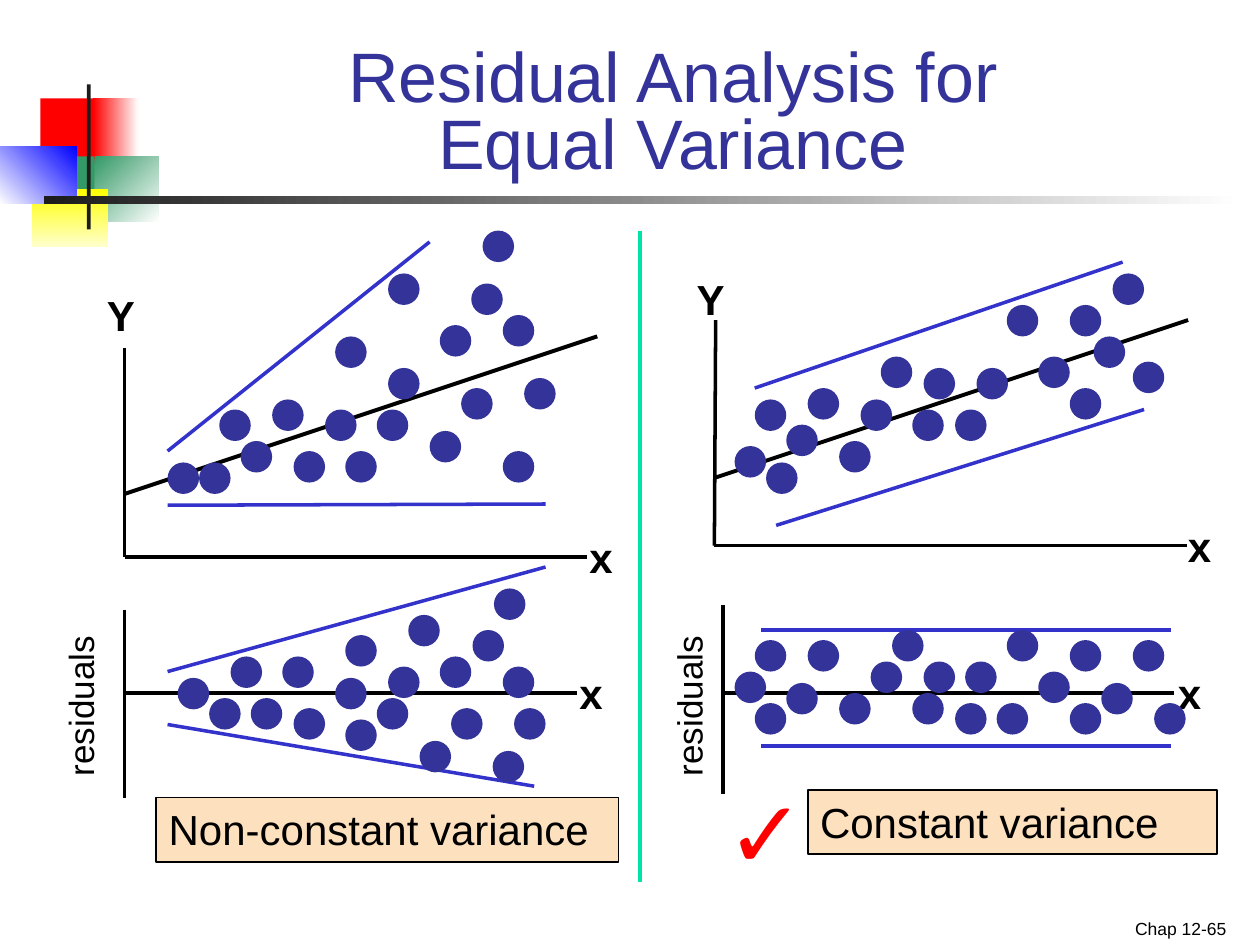
from lxml import etree
from pptx import Presentation
from pptx import util as u
from pptx.dml.color import RGBColor
from pptx.enum import shapes, text
from pptx.oxml.ns import qn

PX = u.Inches(1) // 100
DOT = 25
FONT = "Arial"
COLORS = {
    "black": "000000", "white": "FFFFFF", "navy": "333399", "bound": "3333CC",
    "divider": "00E4A8", "peach": "FDE0BD", "red": "FF0000", "green": "339966",
    "yellow": "FFFF00", "cream": "FFFFCC", "blue": "0000FF", "ink": "1C1C1C",
}

NON_CONSTANT_Y = {
    "axes": [(-1, 96, -1, 262), (-1, 262, 366, 262)],
    "trend": [(-1, 212, 374, 87)],
    "bounds": [(33, 178, 241, 12), (33, 221, 333, 220)],
    "x": (358, 237), "Y": (-25, 45),
    "dots": [(33, 187), (74, 145), (208, 37), (241, 162), (274, 45), (116, 137), (266, 128),
             (299, 178), (283, 3), (299, 70), (249, 78), (174, 178), (208, 112), (166, 87),
             (58, 187), (91, 170), (133, 178), (199, 145), (316, 120), (158, 145)],
}
CONSTANT_Y = {
    "axes": [(8, 54, 7, 233), (7, 233, 382, 233)],
    "trend": [(8, 179, 383, 54)],
    "bounds": [(39, 108, 331, 8), (56, 217, 348, 125)],
    "x": (373, 208), "Y": (-17, 12),
    "dots": [(23, 154), (39, 117), (215, 92), (289, 42), (81, 108), (264, 83), (289, 108),
             (308, 67), (239, 42), (164, 125), (173, 92), (139, 83), (48, 167), (64, 137),
             (106, 150), (198, 125), (339, 87), (123, 117), (323, 17)],
}
NON_CONSTANT_RESIDUALS = {
    "axes": [(-1, 34, -1, 183), (0, 100, 358, 100)],
    "bounds": [(33, 83, 333, 0), (33, 125, 324, 174)],
    "x": (350, 75), "residuals": (-108, 83),
    "dots": [(41, 88), (174, 54), (66, 104), (83, 71), (124, 71), (133, 112), (166, 88),
             (99, 104), (308, 112), (233, 138), (249, 71), (224, 38), (208, 79), (199, 104),
             (174, 121), (275, 50), (299, 79), (292, 17), (291, 146), (258, 112)],
}
CONSTANT_RESIDUALS = {
    "axes": [(4, 0, 4, 150), (4, 70, 362, 70)],
    "bounds": [(34, 20, 359, 20), (34, 112, 359, 112)],
    "x": (355, 45), "residuals": (-95, 53),
    "dots": [(29, 28), (96, 70), (54, 62), (71, 28), (13, 53), (29, 78), (229, 20),
             (121, 45), (138, 20), (163, 45), (188, 78), (154, 70), (279, 28), (196, 45),
             (221, 78), (279, 78), (254, 53), (329, 28), (304, 62), (346, 78)],
}


def rgb(name):
    """Return the named colour."""
    return RGBColor.from_string(COLORS[name])


def emu(lengths):
    """Turn lengths in px into EMU."""
    return [u.Emu(length * PX) for length in lengths]


def add_preset(slide, kind, box, fill, outline=None):
    """Add a preset shape without shadow."""
    shape = slide.shapes.add_shape(kind, *emu(box))
    shape.shadow.inherit = False
    shape.fill.solid()
    shape.fill.fore_color.rgb = rgb(fill)
    if outline:
        shape.line.color.rgb = rgb(outline)
        shape.line.width = u.Pt(1)
    else:
        shape.line.fill.background()
    return shape


def add_gradient(slide, box, start, end, clockwise):
    """Add a rectangle that fades between two colours."""
    shape = add_preset(slide, shapes.MSO_SHAPE.RECTANGLE, box, start)
    shape.fill.gradient()
    shape.fill.gradient_angle = (360 - clockwise) % 360
    for stop, color, position in zip(shape.fill.gradient_stops, (start, end), (0, 1)):
        stop.color.rgb = rgb(color)
        stop.position = position


def add_line(slide, ends, color, width=2):
    """Add a straight line without shadow."""
    line = slide.shapes.add_connector(shapes.MSO_CONNECTOR.STRAIGHT, *emu(ends))
    line.line.color.rgb = rgb(color)
    line.line.width = u.Pt(width)
    etree.SubElement(line._element.spPr, qn("a:effectLst"))


def write(shape, lines, size, color="black", bold=False, align=text.PP_ALIGN.LEFT,
          anchor=text.MSO_ANCHOR.TOP, wrap=True):
    """Write the lines into one paragraph of the shape."""
    frame = shape.text_frame
    frame.word_wrap = wrap
    frame.vertical_anchor = anchor
    paragraph = frame.paragraphs[0]
    paragraph.alignment = align
    for index, line in enumerate(lines):
        if index:
            paragraph.add_line_break()
        run = paragraph.add_run()
        run.text = line
        run.font.name = FONT
        run.font.size = u.Pt(size)
        run.font.bold = bold
        run.font.color.rgb = rgb(color)
    return paragraph


def add_label(slide, box, lines, size, **style):
    """Add a text box and return its paragraph."""
    return write(slide.shapes.add_textbox(*emu(box)), lines, size, **style)


def draw_ornament(slide, left, top):
    """Draw the coloured squares and the two bars beside the title."""
    def at(x, y, width, height):
        return left + x, top + y, width, height

    rectangle = shapes.MSO_SHAPE.RECTANGLE
    add_preset(slide, rectangle, at(32, 11, 48, 52), "red")
    add_gradient(slide, at(74, 11, 36, 52), "red", "white", 0)
    add_gradient(slide, at(75, 57, 51, 52), "green", "white", 45)
    add_preset(slide, rectangle, at(43, 57, 32, 52), "green")
    add_gradient(slide, at(25, 83, 61, 46), "yellow", "cream", 90)
    add_gradient(slide, at(0, 49, 61, 46), "white", "blue", 315)
    add_preset(slide, rectangle, at(69, 0, 3, 115), "ink")
    add_gradient(slide, at(35, 89, 951, 6), "ink", "white", 0)


def draw_plot(slide, left, top, plot):
    """Draw one scatter plot with its axes, bounds, labels and dots."""
    for part, color, width in (("axes", "black", 2), ("trend", "black", 2.25),
                               ("bounds", "bound", 2)):
        for x1, y1, x2, y2 in plot.get(part, []):
            add_line(slide, (left + x1, top + y1, left + x2, top + y2), color, width)
    for name, width in (("x", 51), ("Y", 42)):
        if name in plot:
            x, y = plot[name]
            add_label(slide, (left + x, top + y, width, 50), [name], 24,
                      bold=True, wrap=name == "x")
    if "residuals" in plot:
        x, y = plot["residuals"]
        label = slide.shapes.add_textbox(*emu((left + x, top + y, 143, 43)))
        label.rotation = 270
        write(label, ["residuals"], 20)
    for x, y in plot["dots"]:
        add_preset(slide, shapes.MSO_SHAPE.OVAL, (left + x, top + y, DOT, DOT), "navy")


def draw_caption(slide, box, caption):
    """Draw a framed caption."""
    shape = add_preset(slide, shapes.MSO_SHAPE.RECTANGLE, box, "peach", "black")
    write(shape, [caption], 24)


def main():
    """Build the slide and save it."""
    presentation = Presentation()
    presentation.slide_width, presentation.slide_height = emu((1000, 750))
    slide = presentation.slides.add_slide(presentation.slide_layouts[6])
    draw_ornament(slide, 0, 67)
    title = add_label(slide, (108, 33, 852, 117), ["Residual Analysis for", "Equal Variance"], 40,
                      color="navy", align=text.PP_ALIGN.CENTER, anchor=text.MSO_ANCHOR.BOTTOM)
    title.line_spacing = 0.8
    add_label(slide, (750, 715, 233, 35), ["Chap 12-65"], 10,
              align=text.PP_ALIGN.RIGHT, anchor=text.MSO_ANCHOR.BOTTOM)
    draw_caption(slide, (124, 633, 367, 51), "Non-constant variance")
    add_label(slide, (567, 609, 100, 100), ["✓"], 54, color="red")
    draw_caption(slide, (641, 627, 325, 51), "Constant variance")
    draw_plot(slide, 100, 450, NON_CONSTANT_RESIDUALS)
    draw_plot(slide, 570, 480, CONSTANT_RESIDUALS)
    draw_plot(slide, 100, 180, NON_CONSTANT_Y)
    draw_plot(slide, 560, 200, CONSTANT_Y)
    add_line(slide, (508, 183, 508, 700), "divider", 2.25)
    presentation.save("out.pptx")


if __name__ == "__main__":
    main()
